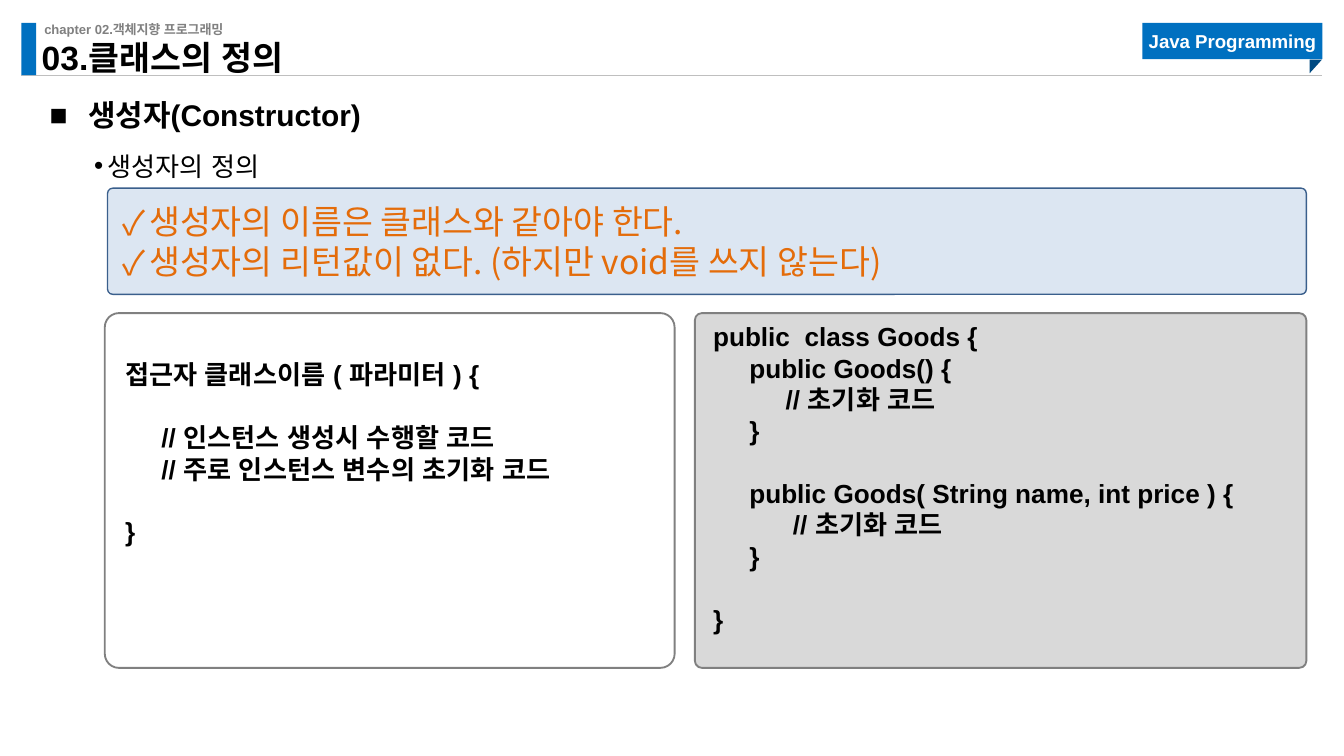
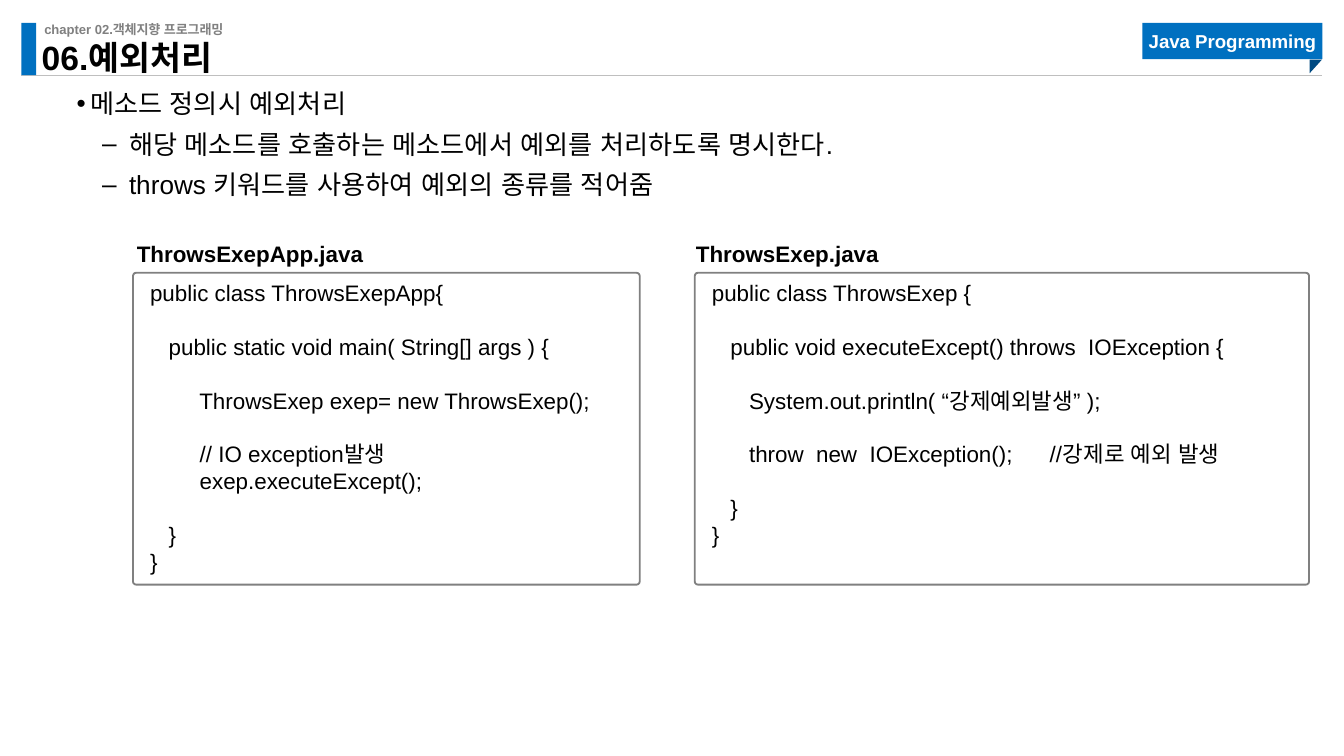
from dataclasses import dataclass
from typing import Optional, Sequence

from lxml.etree import SubElement
from pptx import Presentation
from pptx.dml.color import RGBColor
from pptx.enum.shapes import MSO_CONNECTOR, MSO_SHAPE
from pptx.enum.text import MSO_ANCHOR, MSO_AUTO_SIZE, PP_ALIGN
from pptx.oxml.ns import qn
from pptx.shapes.autoshape import Shape
from pptx.slide import Slide
from pptx.text.text import TextFrame
from pptx.util import Emu, Pt

EMU_PER_PX = 9144


@dataclass(frozen=True)
class Theme:
    """Colours, fonts and type sizes of the deck."""

    ink: str = "000000"
    white: str = "FFFFFF"
    grey: str = "808080"
    rule: str = "BFBFBF"
    blue: str = "0070C0"
    fold: str = "004A82"
    note_fill: str = "DCE6F2"
    note_edge: str = "3A5F8C"
    note_ink: str = "E46C0A"
    code_fill: str = "D9D9D9"
    font: str = "Arial"
    note_font: str = "Noto Sans CJK KR"
    chapter_size: int = 7
    badge_size: int = 10
    code_size: int = 12
    body_size: int = 14
    topic_size: int = 16
    title_size: int = 18


THEME = Theme()


@dataclass(frozen=True)
class Box:
    """A frame in px."""

    left: int
    top: int
    width: int
    height: int

    def emu(self) -> tuple:
        """Return the frame in EMU."""
        return tuple(px(n) for n in (self.left, self.top, self.width, self.height))


@dataclass(frozen=True)
class Style:
    """The look of a run of text."""

    size: int
    bold: bool = False
    color: str = THEME.ink
    font: str = THEME.font


@dataclass(frozen=True)
class Bullet:
    """A list level with its mark, indent in px and line spacing."""

    mark: str
    margin: int
    hang: int
    level: int = 0
    leading: Optional[float] = None


@dataclass(frozen=True)
class Panel:
    """A rounded panel of code."""

    box: Box
    code: str
    style: Style
    radius: float
    fill: Optional[str] = None
    align: Optional[PP_ALIGN] = None
    top_inset: int = 4


TITLE = Style(THEME.title_size, True)
CHAPTER = Style(THEME.chapter_size, True, THEME.grey)
BADGE = Style(THEME.badge_size, True, THEME.white)
TOPIC = Style(THEME.topic_size, True)
BODY = Style(THEME.body_size)
NOTE = Style(THEME.title_size, color=THEME.note_ink, font=THEME.note_font)
BOLD_CODE = Style(THEME.body_size, True)
CODE = Style(THEME.code_size)
FILE_NAME = Style(THEME.code_size, True)

TOPIC_BULLET = Bullet("■", 29, 29, leading=1.5)
DEFINITION_BULLET = Bullet("•", 40, 10, level=1, leading=1.5)
POINT_BULLET = Bullet("•", 40, 10, level=1)
DETAIL_BULLET = Bullet("–", 69, 20, level=2)
CHECK_BULLET = Bullet("✓", 20, 20, level=3)

FLUSH = (0, 0, 0, 0)
DEFAULT_INSETS = (10, 5, 10, 5)
LIST_INSETS = (0, 0, 10, 5)

CONSTRUCTOR_SYNTAX = """접근자 클래스이름 ( 파라미터 ) {

     // 인스턴스 생성시 수행할 코드
     // 주로 인스턴스 변수의 초기화 코드

}"""

GOODS_CLASS = """public  class Goods {
     public Goods() {
          // 초기화 코드
     }

     public Goods( String name, int price ) {
           // 초기화 코드
     }

}"""

CALLER_CLASS = """public class ThrowsExepApp{

   public static void main( String[] args ) {

        ThrowsExep exep= new ThrowsExep();

        // IO exception발생
        exep.executeExcept();

   }
}"""

THROWER_CLASS = """public class ThrowsExep {

   public void executeExcept() throws  IOException {

      System.out.println( “강제예외발생” );

      throw  new  IOException();      //강제로 예외 발생

   }
}"""


def px(length: int) -> Emu:
    """Turn px into EMU."""
    return Emu(length * EMU_PER_PX)


def write(frame: TextFrame, lines: Sequence[str], style: Style,
          insets: tuple = DEFAULT_INSETS, anchor: MSO_ANCHOR = MSO_ANCHOR.TOP,
          align: Optional[PP_ALIGN] = None, bullets: Sequence[Bullet] = ()) -> None:
    """Fill a text frame with styled and optionally bulleted lines."""
    frame.text = "\n".join(lines)
    frame.word_wrap = True
    frame.auto_size = MSO_AUTO_SIZE.NONE
    frame.vertical_anchor = anchor
    (frame.margin_left, frame.margin_top,
     frame.margin_right, frame.margin_bottom) = map(px, insets)
    for paragraph, bullet in zip(frame.paragraphs, bullets):
        properties = paragraph._p.get_or_add_pPr()
        properties.set("marL", str(px(bullet.margin)))
        properties.set("indent", str(-px(bullet.hang)))
        SubElement(properties, qn("a:buFont")).set("typeface", style.font)
        SubElement(properties, qn("a:buChar")).set("char", bullet.mark)
        paragraph.level = bullet.level
        paragraph.line_spacing = bullet.leading
    for paragraph in frame.paragraphs:
        paragraph.alignment = align or PP_ALIGN.LEFT
        for run in paragraph.runs:
            run.font.size = Pt(style.size)
            run.font.bold = style.bold
            run.font.name = style.font
            run.font.color.rgb = RGBColor.from_string(style.color)
            east_asian = SubElement(run._r.get_or_add_rPr(), qn("a:ea"))
            east_asian.set("typeface", style.font)


def add_text(slide: Slide, box: Box, lines: Sequence[str], style: Style,
             insets: tuple = DEFAULT_INSETS, bullets: Sequence[Bullet] = ()) -> TextFrame:
    """Add a text box and return its frame."""
    frame = slide.shapes.add_textbox(*box.emu()).text_frame
    write(frame, lines, style, insets, bullets=bullets)
    return frame


def add_block(slide: Slide, kind: MSO_SHAPE, box: Box, fill: Optional[str] = None,
              edge: Optional[str] = None, weight: float = 1) -> Shape:
    """Add a flat preset shape."""
    block = slide.shapes.add_shape(kind, *box.emu())
    block.shadow.inherit = False
    if fill:
        block.fill.solid()
        block.fill.fore_color.rgb = RGBColor.from_string(fill)
    else:
        block.fill.background()
    if edge:
        block.line.color.rgb = RGBColor.from_string(edge)
        block.line.width = Pt(weight)
    else:
        block.line.fill.background()
    return block


def add_panel(slide: Slide, panel: Panel) -> None:
    """Add a code panel, turning empty code lines into paragraph spacing."""
    block = add_block(slide, MSO_SHAPE.ROUNDED_RECTANGLE, panel.box, panel.fill, THEME.grey)
    block.adjustments[0] = panel.radius
    rows = panel.code.split("\n")
    write(block.text_frame, [row for row in rows if row], panel.style,
          (12, panel.top_inset, 12, 4), align=panel.align)
    after_gap = [not before for before, row in zip([rows[0]] + rows, rows) if row]
    for paragraph, gap in zip(block.text_frame.paragraphs, after_gap):
        if gap:
            paragraph.space_before = Pt(round(1.2 * panel.style.size, 1))


def add_header(slide: Slide, title: str) -> None:
    """Draw the shared header and the slide title."""
    rule = slide.shapes.add_connector(MSO_CONNECTOR.STRAIGHT, px(16), px(56), px(984), px(56))
    rule.line.color.rgb = RGBColor.from_string(THEME.rule)
    rule.line.width = Pt(0.5)
    SubElement(rule._element.spPr, qn("a:effectLst"))
    add_block(slide, MSO_SHAPE.RECTANGLE, Box(16, 17, 11, 39), THEME.blue)
    add_text(slide, Box(33, 16, 323, 12), ["chapter 02.객체지향 프로그래밍"], CHAPTER, FLUSH)
    badge = add_block(slide, MSO_SHAPE.RECTANGLE, Box(850, 17, 134, 27), THEME.blue)
    write(badge.text_frame, ["Java Programming"], BADGE, FLUSH,
          MSO_ANCHOR.MIDDLE, PP_ALIGN.CENTER)
    fold = add_block(slide, MSO_SHAPE.RIGHT_TRIANGLE, Box(974, 45, 10, 9), THEME.fold)
    fold.rotation = 90
    heading = slide.shapes.title
    heading.left, heading.top, heading.width, heading.height = Box(31, 35, 330, 23).emu()
    write(heading.text_frame, [title], TITLE, FLUSH, MSO_ANCHOR.BOTTOM)
    heading.text_frame.paragraphs[0].line_spacing = 0.9


def build_constructor(slide: Slide) -> None:
    """Explain how a constructor is defined."""
    add_header(slide, "03.클래스의 정의")
    add_text(slide, Box(37, 59, 954, 33), ["생성자(Constructor)"], TOPIC, FLUSH, [TOPIC_BULLET])
    add_text(slide, Box(40, 100, 973, 44), ["생성자의 정의"], BODY, LIST_INSETS,
             [DEFINITION_BULLET])
    rules = add_block(slide, MSO_SHAPE.ROUNDED_RECTANGLE, Box(80, 140, 892, 79),
                      THEME.note_fill, THEME.note_edge, 0.75)
    rules.adjustments[0] = 0.05
    write(rules.text_frame,
          ["생성자의 이름은 클래스와 같아야 한다.",
           "생성자의 리턴값이 없다. (하지만 void를 쓰지 않는다)"],
          NOTE, anchor=MSO_ANCHOR.MIDDLE, bullets=[CHECK_BULLET] * 2)
    add_panel(slide, Panel(Box(78, 233, 424, 264), CONSTRUCTOR_SYNTAX, BOLD_CODE, 0.04,
                           align=PP_ALIGN.JUSTIFY, top_inset=31))
    add_panel(slide, Panel(Box(517, 233, 455, 264), GOODS_CLASS, BOLD_CODE, 0.02,
                           THEME.code_fill, PP_ALIGN.JUSTIFY))


def build_exceptions(slide: Slide) -> None:
    """Explain how a method declares its exceptions."""
    add_header(slide, "06.예외처리")
    points = add_text(slide, Box(27, 65, 973, 31),
                      ["메소드 정의시 예외처리",
                       "해당 메소드를 호출하는 메소드에서 예외를 처리하도록 명시한다.",
                       "throws 키워드를 사용하여 예외의 종류를 적어줌"],
                      BODY, LIST_INSETS, [POINT_BULLET, DETAIL_BULLET, DETAIL_BULLET])
    for detail in points.paragraphs[1:]:
        detail.space_before = Pt(5)
    sources = (("ThrowsExepApp.java", 92, Box(99, 203, 377, 232), CALLER_CLASS),
               ("ThrowsExep.java", 508, Box(517, 203, 457, 232), THROWER_CLASS))
    for file_name, left, box, code in sources:
        add_panel(slide, Panel(box, code, CODE, 0.01))
        add_text(slide, Box(left, 174, 196, 30), [file_name], FILE_NAME)


def main() -> None:
    """Build and save the deck."""
    deck = Presentation()
    deck.slide_width = px(1000)
    deck.slide_height = Emu(deck.slide_width * 9 // 16)
    title_only = deck.slide_layouts[5]
    for build in (build_constructor, build_exceptions):
        build(deck.slides.add_slide(title_only))
    deck.save("out.pptx")


if __name__ == "__main__":
    main()
